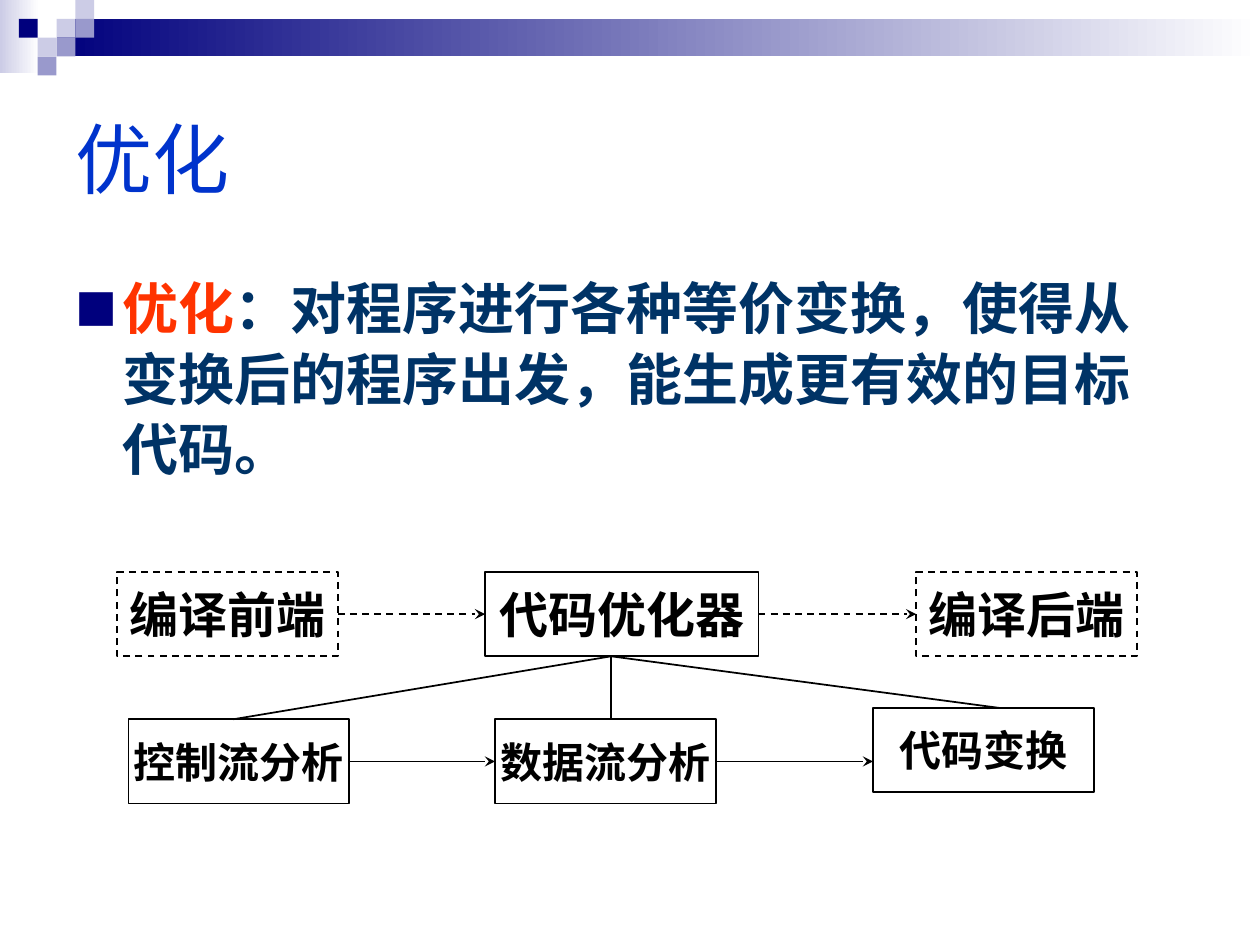
from dataclasses import dataclass
from typing import Optional

from lxml.etree import SubElement
from pptx import Presentation
from pptx.dml.color import RGBColor
from pptx.enum.dml import MSO_LINE_DASH_STYLE as Dash
from pptx.enum.shapes import MSO_CONNECTOR as ConnectorType, MSO_SHAPE as ShapeType
from pptx.enum.text import MSO_ANCHOR as Anchor, PP_ALIGN as Align
from pptx.oxml.ns import qn
from pptx.util import Cm, Pt

NAVY = RGBColor(0x00, 0x00, 0x7D)
LAVENDER = RGBColor(0xCC, 0xCC, 0xE6)
VIOLET = RGBColor(0x99, 0x99, 0xCC)
WHITE = RGBColor(0xFF, 0xFF, 0xFF)
BLACK = RGBColor(0x00, 0x00, 0x00)
TITLE_BLUE = RGBColor(0x00, 0x33, 0xCC)
BODY_BLUE = RGBColor(0x00, 0x33, 0x66)
RED = RGBColor(0xFF, 0x33, 0x00)
CJK_FONT = "Noto Sans CJK SC"
TILE = 0.38
BOX_HEIGHT = 1.7
TOP, LEFT, BOTTOM, RIGHT = range(4)


@dataclass
class Tile:
    column: int
    row: int
    color: RGBColor


@dataclass
class Box:
    text: str
    left: float
    top: float
    width: float = 4.45
    size: int = 24
    dashed: bool = False


@dataclass
class Link:
    start: tuple[float, float]
    end: tuple[float, float]
    source: Optional[str] = None
    target: Optional[str] = None
    dashed: bool = False
    arrow: bool = True


def add_rectangle(slide, left: float, top: float, width: float, height: float):
    shape = slide.shapes.add_shape(ShapeType.RECTANGLE, Cm(left), Cm(top), Cm(width), Cm(height))
    shape.shadow.inherit = False
    return shape


def add_gradient(slide, left: float, top: float, width: float, height: float, color: RGBColor) -> None:
    shape = add_rectangle(slide, left, top, width, height)
    shape.line.fill.background()
    shape.fill.gradient()
    shape.fill.gradient_angle = 0
    for stop, (position, stop_color) in zip(shape.fill.gradient_stops, ((0, color), (1, WHITE))):
        stop.position = position
        stop.color.rgb = stop_color


def add_tile(slide, tile: Tile) -> None:
    shape = add_rectangle(slide, tile.column * TILE, tile.row * TILE, TILE, TILE)
    shape.fill.solid()
    shape.fill.fore_color.rgb = tile.color
    shape.line.fill.background()


def add_run(paragraph, text: str, color: RGBColor, **formats) -> None:
    run = paragraph.add_run()
    run.text = text
    run.font.color.rgb = color
    for name, value in formats.items():
        setattr(run.font, name, value)
    SubElement(run.font._element, qn("a:ea"), typeface=CJK_FONT)


def add_text_frame(slide, left: float, top: float, width: float, height: float):
    frame = slide.shapes.add_textbox(Cm(left), Cm(top), Cm(width), Cm(height)).text_frame
    frame.word_wrap = True
    return frame


def add_bullet(paragraph) -> None:
    properties = paragraph._p.get_or_add_pPr()
    properties.set("marL", str(Cm(0.95)))
    properties.set("indent", str(Cm(-0.95)))
    color = SubElement(properties, qn("a:buClr"))
    SubElement(color, qn("a:srgbClr"), val=str(NAVY))
    SubElement(properties, qn("a:buSzPct"), val="75000")
    SubElement(properties, qn("a:buFont"), typeface=CJK_FONT)
    SubElement(properties, qn("a:buChar"), char="■")


def style_line(line, dashed: bool) -> None:
    line.color.rgb = BLACK
    line.width = Pt(1)
    if dashed:
        line.dash_style = Dash.DASH


def add_box(slide, box: Box):
    shape = add_rectangle(slide, box.left, box.top, box.width, BOX_HEIGHT)
    shape.fill.background()
    style_line(shape.line, box.dashed)
    frame = shape.text_frame
    frame.word_wrap = False
    frame.vertical_anchor = Anchor.MIDDLE
    paragraph = frame.paragraphs[0]
    paragraph.alignment = Align.CENTER
    add_run(paragraph, box.text, BLACK, name="Times New Roman", size=Pt(box.size), bold=True)
    return shape


def add_link(slide, link: Link, shapes: dict) -> None:
    points = [Cm(value) for value in (*link.start, *link.end)]
    connector = slide.shapes.add_connector(ConnectorType.STRAIGHT, *points)
    if link.source:
        connector.begin_connect(shapes[link.source], RIGHT)
    if link.target:
        connector.end_connect(shapes[link.target], LEFT)
    style_line(connector.line, link.dashed)
    if link.arrow:
        SubElement(connector.line._get_or_add_ln(), qn("a:tailEnd"), type="stealth")
    SubElement(connector._element.spPr, qn("a:effectLst"))


TILES = [
    Tile(3, 1, LAVENDER), Tile(4, 0, LAVENDER), Tile(4, 1, VIOLET), Tile(2, 2, LAVENDER),
    Tile(1, 1, NAVY), Tile(3, 2, VIOLET), Tile(2, 3, VIOLET),
]
BOXES = {
    "front end": Box("编译前端", 2.36, 11.53, size=28, dashed=True),
    "optimizer": Box("代码优化器", 9.78, 11.53, width=5.51, size=28),
    "back end": Box("编译后端", 18.47, 11.53, size=28, dashed=True),
    "control flow": Box("控制流分析", 2.59, 14.5),
    "data flow": Box("数据流分析", 9.98, 14.5),
    "transform": Box("代码变换", 17.6, 14.27),
}
FORK = (12.32, 13.23)
LINKS = [
    Link((6.81, 12.38), (9.78, 12.38), "front end", "optimizer", dashed=True),
    Link((15.29, 12.38), (18.47, 12.38), "optimizer", "back end", dashed=True),
    Link((7.04, 15.35), (9.98, 15.35), "control flow", "data flow"),
    Link((14.43, 15.35), (17.6, 15.35), "data flow"),
    *(Link(FORK, end, arrow=False) for end in ((4.7, 14.5), (12.32, 14.5), (20.14, 14.27))),
]


def main() -> None:
    presentation = Presentation()
    presentation.slide_width, presentation.slide_height = Cm(25.4), Cm(19.05)
    slide = presentation.slides.add_slide(presentation.slide_layouts[6])

    # Header band and checker tiles
    add_gradient(slide, 0, 0, 0.79, 1.47, LAVENDER)
    add_gradient(slide, 3 * TILE, TILE, 25.4 - 3 * TILE, 2 * TILE, NAVY)
    for tile in TILES:
        add_tile(slide, tile)

    # Title
    title = add_text_frame(slide, 1.27, 1.27, 22.86, 3.81)
    title.vertical_anchor = Anchor.MIDDLE
    add_run(title.paragraphs[0], "优化", TITLE_BLUE, name="Arial", size=Pt(44))

    # Definition
    definition = add_text_frame(slide, 1.27, 5.33, 22.86, 5.99).paragraphs[0]
    add_bullet(definition)
    definition.line_spacing = 1.05
    body_format = {"name": CJK_FONT, "size": Pt(32), "bold": True}
    add_run(definition, "优化", RED, **body_format)
    add_run(definition, "：对程序进行各种等价变换，使得从变换后的程序出发，能生成更有效的目标代码。",
            BODY_BLUE, **body_format)

    # Compiler diagram
    shapes = {name: add_box(slide, box) for name, box in BOXES.items()}
    for link in LINKS:
        add_link(slide, link, shapes)

    presentation.save("out.pptx")


if __name__ == "__main__":
    main()
